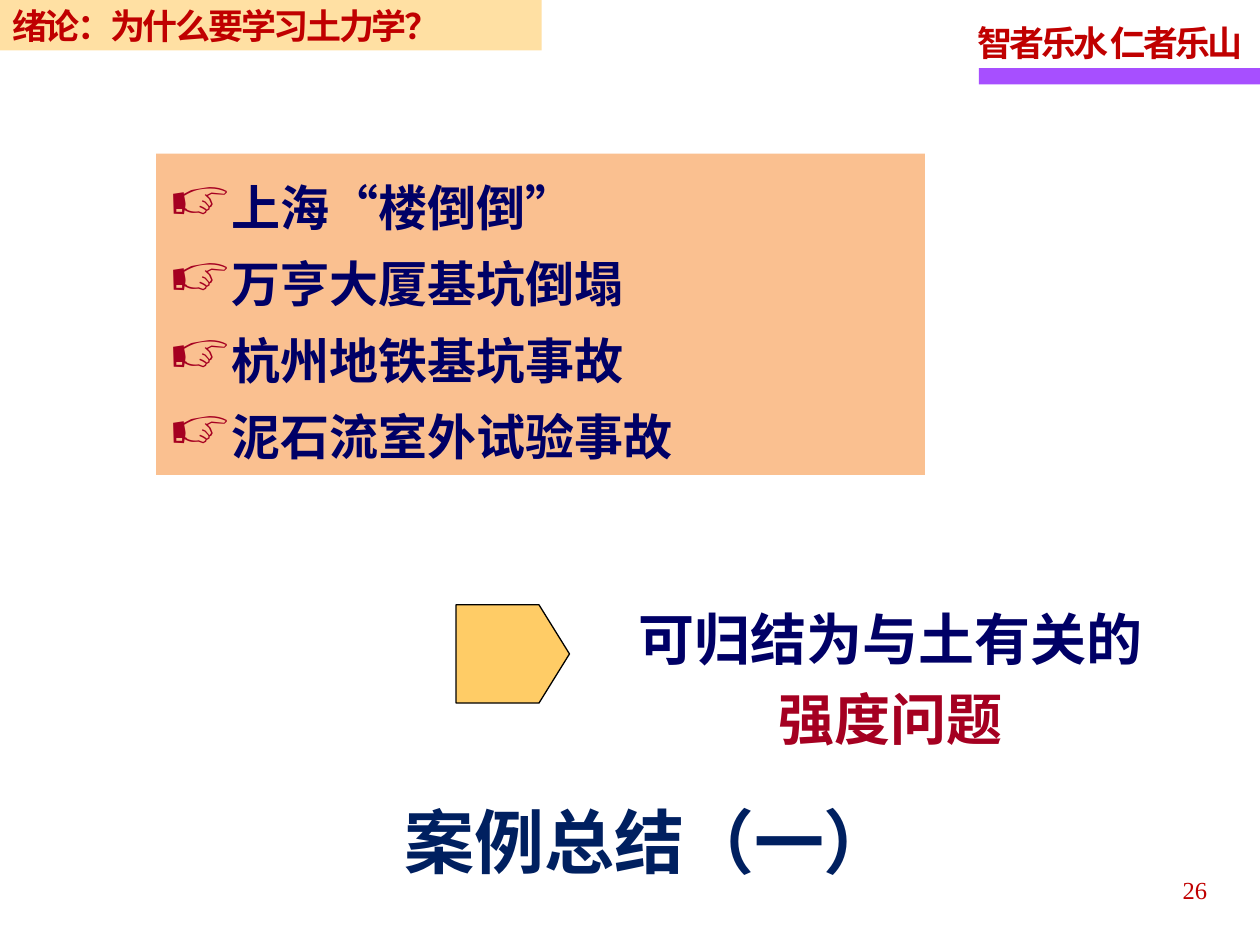
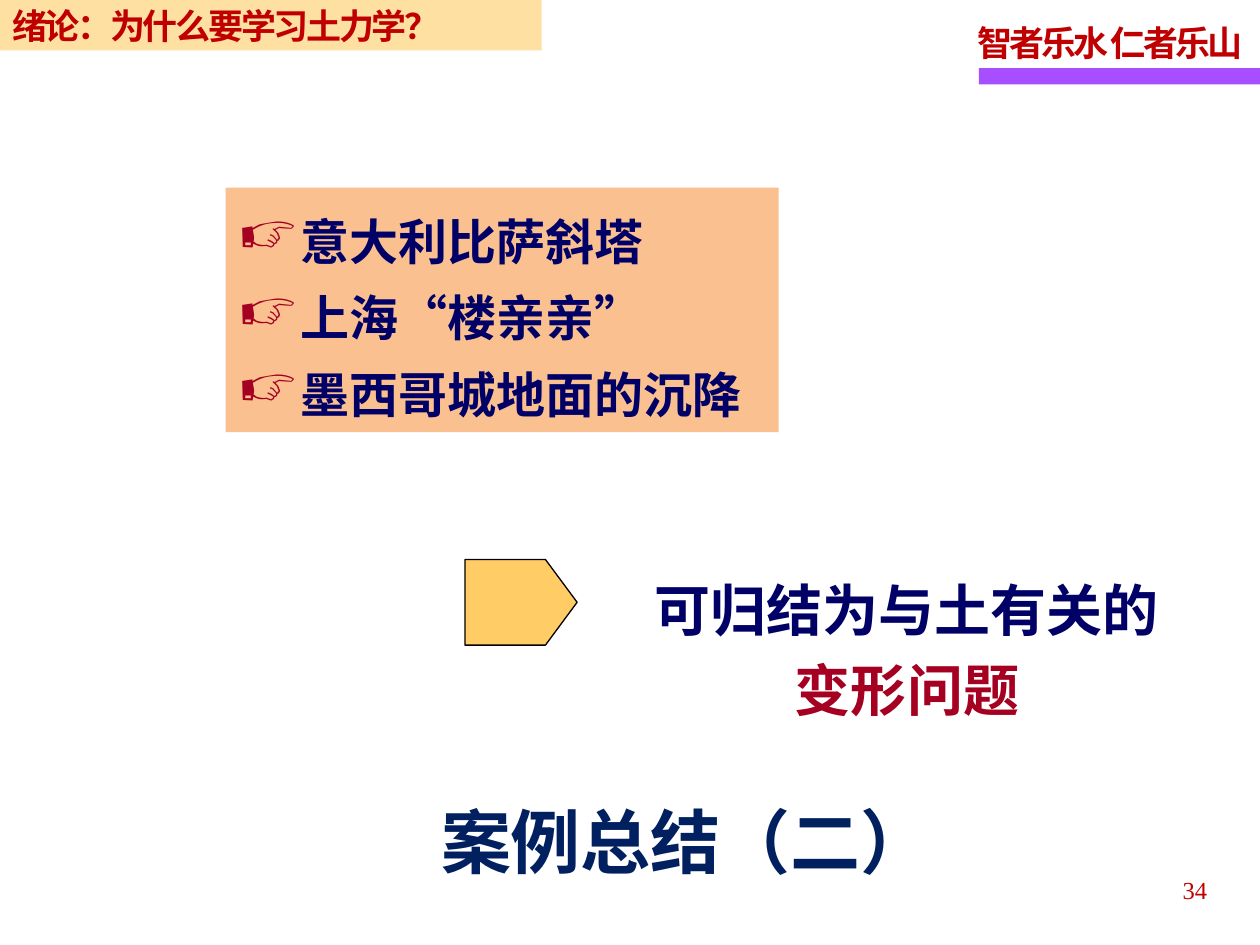
import pptx
import pptx.util
from dataclasses import dataclass
from lxml import etree
from pptx.dml.color import RGBColor
from pptx.enum.shapes import MSO_SHAPE
from pptx.enum.text import MSO_ANCHOR, MSO_AUTO_SIZE, PP_ALIGN
from pptx.oxml.ns import qn
from pptx.util import Inches


@dataclass(frozen=True)
class Theme:
    # Colours
    red: str = "C00000"
    emphasis: str = "A50021"
    body: str = "000066"
    title: str = "002060"
    purple: str = "A74FFF"
    gold: str = "FFCC66"
    panel: str = "FAC090"
    outline: str = "000000"
    # Fonts and type sizes
    latin: str = "Times New Roman"
    chinese: str = "Noto Sans CJK SC"
    title_size: int = 40
    conclusion_size: int = 32
    list_size: int = 28
    header_size: int = 20
    number_size: int = 14


THEME = Theme()
CHAPTER = "绪论：为什么要学习土力学？"
MOTTO = "智者乐水 仁者乐山"
CONCLUSION = "可归结为与土有关的"


def add_bullet(paragraph, percent, indent=0.5):
    """Hang the paragraph behind a pointing hand."""
    properties = paragraph._p.get_or_add_pPr()
    properties.set("marL", str(Inches(indent)))
    properties.set("indent", str(-Inches(indent)))
    colour = etree.SubElement(properties, qn("a:buClr"))
    etree.SubElement(colour, qn("a:srgbClr"), val=THEME.emphasis)
    etree.SubElement(properties, qn("a:buSzPct"), val=str(percent * 1000))
    etree.SubElement(properties, qn("a:buChar"), char="☞")


def write_text(shape, lines, *, size, colours, font=THEME.chinese, bold=True,
               align=PP_ALIGN.LEFT, line_spacing=1.0, tracking=0,
               anchor=MSO_ANCHOR.TOP, wrap=True, bullet_percent=None):
    """Write one paragraph per line; the last colour serves any further lines."""
    frame = shape.text_frame
    frame.auto_size = MSO_AUTO_SIZE.NONE
    frame.word_wrap = wrap
    frame.vertical_anchor = anchor
    for index, line in enumerate(lines):
        paragraph = frame.add_paragraph() if index else frame.paragraphs[0]
        if bullet_percent:
            add_bullet(paragraph, bullet_percent)
        paragraph.alignment = align
        paragraph.line_spacing = line_spacing
        run = paragraph.add_run()
        run.text = line
        run.font.size = pptx.util.Pt(size)
        run.font.bold = bold
        run.font.name = font
        colour = colours[min(index, len(colours) - 1)]
        run.font.color.rgb = RGBColor.from_string(colour)
        properties = run._r.get_or_add_rPr()
        etree.SubElement(properties, qn("a:ea"), typeface=THEME.chinese)
        if tracking:
            properties.set("spc", str(round(tracking * 100)))


class SlideBuilder:
    def __init__(self, presentation, theme):
        self.presentation = presentation
        self.theme = theme
        self.slide = None

    def start_slide(self, number):
        title_only = self.presentation.slide_layouts[5]
        self.slide = self.presentation.slides.add_slide(title_only)
        self.add_frame(number)

    def add_box(self, bounds, fill, *, kind=MSO_SHAPE.RECTANGLE, opacity=None, outline=None):
        shape = self.slide.shapes.add_shape(kind, *map(Inches, bounds))
        shape.shadow.inherit = False
        shape.fill.solid()
        shape.fill.fore_color.rgb = RGBColor.from_string(fill)
        if opacity:
            colour = shape.fill._xPr.find(".//" + qn("a:srgbClr"))
            etree.SubElement(colour, qn("a:alpha"), val=str(opacity * 1000))
        if outline:
            shape.line.color.rgb = RGBColor.from_string(outline)
            shape.line.width = pptx.util.Pt(0.75)
        else:
            shape.line.fill.background()
        return shape

    def add_text(self, bounds, lines, **text_format):
        box = self.slide.shapes.add_textbox(*map(Inches, bounds))
        write_text(box, lines, **text_format)

    def add_frame(self, number):
        """Motto with its rule, page number and chapter band."""
        theme = self.theme
        self.add_box((7.77, 0.54, 2.23, 0.13), theme.purple)
        self.add_text((7.66, 0.07, 2.36, 0.49), [MOTTO], size=theme.header_size,
                      colours=[theme.red], font=theme.latin, line_spacing=1.15,
                      tracking=-1.7)
        self.add_text((7.35, 6.86, 2.33, 0.4), [str(number)], size=theme.number_size,
                      colours=[theme.red], font=theme.latin, bold=False,
                      align=PP_ALIGN.RIGHT, line_spacing=1.15)
        band = self.add_box((0, 0, 4.3, 0.4), theme.gold, opacity=60)
        write_text(band, [CHAPTER], size=theme.header_size, colours=[theme.red],
                   tracking=-1.4, anchor=MSO_ANCHOR.MIDDLE)

    def add_title(self, text, left):
        title = self.slide.shapes.title
        title.left, title.top = Inches(left), Inches(6.29)
        title.width, title.height = Inches(4.14), Inches(0.77)
        write_text(title, [text], size=self.theme.title_size, colours=[self.theme.title],
                   font=self.theme.latin, wrap=False)

    def add_cases(self, bounds, cases, bullet_percent):
        panel = self.add_box(bounds, self.theme.panel)
        write_text(panel, cases, size=self.theme.list_size, colours=[self.theme.body],
                   line_spacing=1.3, bullet_percent=bullet_percent)

    def add_pointer(self, bounds, point):
        pointer = self.add_box(bounds, self.theme.gold, kind=MSO_SHAPE.PENTAGON,
                               outline=self.theme.outline)
        pointer.adjustments[0] = point

    def add_conclusion(self, bounds, problem):
        self.add_text(bounds, [CONCLUSION, problem], size=self.theme.conclusion_size,
                      colours=[self.theme.body, self.theme.emphasis],
                      align=PP_ALIGN.CENTER, line_spacing=1.2, wrap=False)


def main():
    presentation = pptx.Presentation()
    presentation.slide_width = Inches(10)
    presentation.slide_height = Inches(7.5)
    builder = SlideBuilder(presentation, THEME)

    # Case summary one: strength
    builder.start_slide(26)
    builder.add_title("案例总结（一）", left=3.11)
    builder.add_conclusion((4.96, 4.64, 4.22, 1.38), "强度问题")
    builder.add_cases((1.24, 1.22, 6.1, 2.55),
                      ["上海“楼倒倒”", "万亨大厦基坑倒塌", "杭州地铁基坑事故",
                       "泥石流室外试验事故"], bullet_percent=125)
    builder.add_pointer((3.62, 4.8, 0.9, 0.78), point=0.31)

    # Case summary two: deformation
    builder.start_slide(34)
    builder.add_title("案例总结（二）", left=3.4)
    builder.add_conclusion((5.1, 4.41, 4.2, 1.38), "变形问题")
    builder.add_cases((1.79, 1.49, 4.39, 1.94),
                      ["意大利比萨斜塔", "上海“楼亲亲”", "墨西哥城地面的沉降"],
                      bullet_percent=120)
    builder.add_pointer((3.69, 4.44, 0.89, 0.68), point=0.37)

    presentation.save("out.pptx")


if __name__ == "__main__":
    main()
